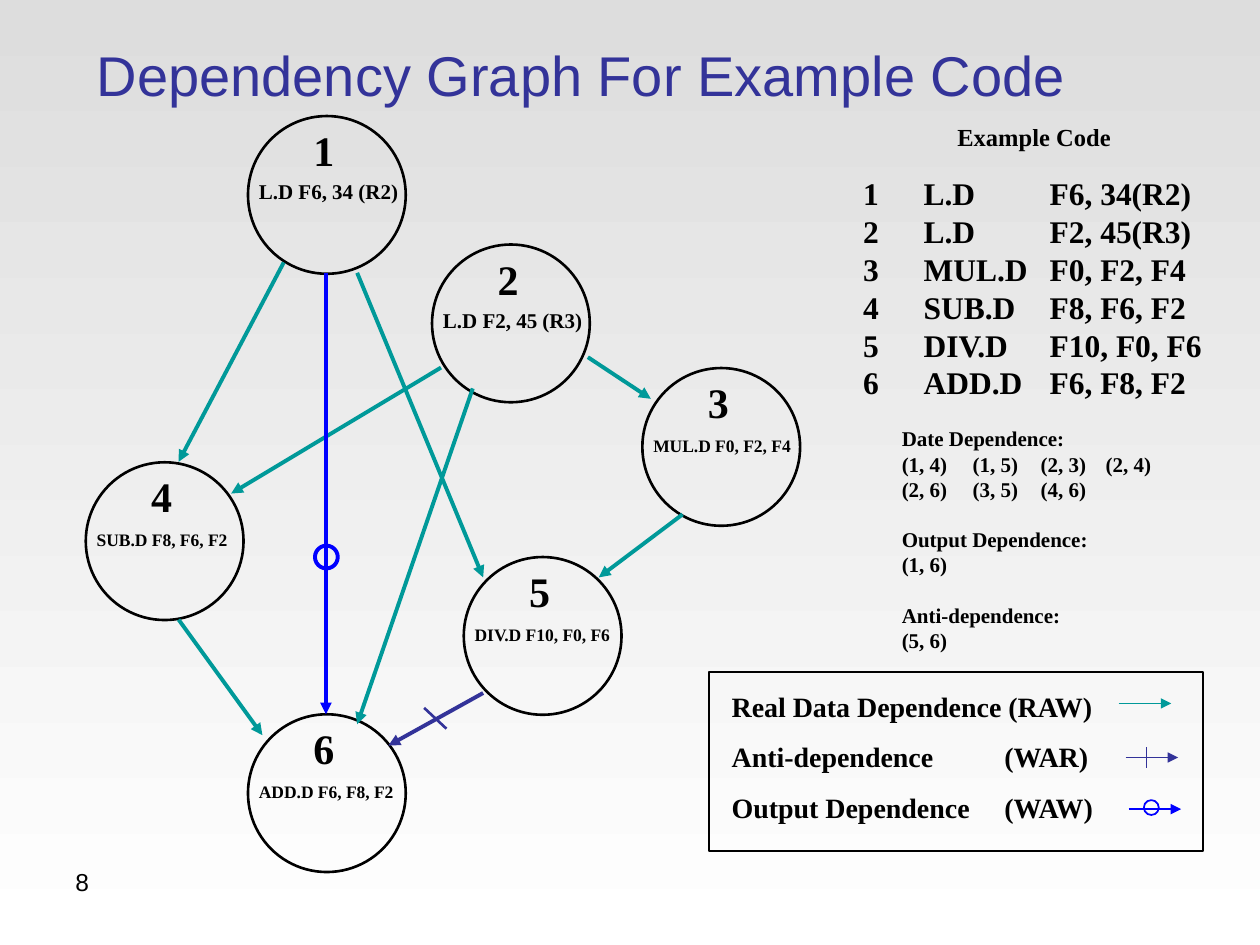
from dataclasses import dataclass
from lxml.etree import SubElement
from pptx import Presentation
from pptx.dml.color import RGBColor
from pptx.enum.shapes import MSO_CONNECTOR, MSO_SHAPE
from pptx.enum.text import MSO_ANCHOR
from pptx.oxml.ns import qn
from pptx.util import Cm, Pt


@dataclass(frozen=True)
class Theme:
    sans: str = "Arial"
    serif: str = "Times New Roman"
    ink: str = "000000"
    title: str = "333399"
    raw: str = "009999"
    war: str = "333399"
    waw: str = "0000FF"
    background: tuple = ("DDDDDD", "FFFFFF")
    title_size: int = 32
    node_size: int = 24
    code_size: int = 18
    legend_size: int = 16
    heading_size: int = 14
    list_size: int = 12
    small_size: int = 10
    edge_width: float = 2.25
    outline_width: float = 1.5
    legend_width: float = 1


THEME = Theme()
DIAMETER = 3.18
LEADING = 1.2

CODE = [
    ("L.D", "F6, 34(R2)"),
    ("L.D", "F2, 45(R3)"),
    ("MUL.D", "F0, F2, F4"),
    ("SUB.D", "F8, F6, F2"),
    ("DIV.D", "F10, F0, F6"),
    ("ADD.D", "F6, F8, F2"),
]
NODES = [
    (5, 2.34, "L.D F6, 34 (R2)", THEME.list_size),
    (8.71, 4.93, "L.D F2, 45 (R3)", THEME.list_size),
    (12.95, 7.42, "MUL.D F0, F2, F4", THEME.small_size),
    (1.73, 9.32, "SUB.D F8, F6, F2", THEME.small_size),
    (9.35, 11.23, "DIV.D F10, F0, F6", THEME.small_size),
    (5, 14.4, "ADD.D F6, F8, F2", THEME.small_size),
]
EDGES = [
    (11.85, 7.2, 13.12, 8.04, THEME.raw),
    (5.72, 5.29, 3.6, 9.31, THEME.raw),
    (8.89, 7.41, 4.66, 9.95, THEME.raw),
    (13.76, 10.37, 12.07, 11.64, THEME.raw),
    (7.2, 5.5, 9.74, 11.64, THEME.raw),
    (3.6, 12.49, 5.29, 14.82, THEME.raw),
    (9.53, 7.83, 7.2, 14.6, THEME.raw),
    (9.74, 13.97, 7.83, 15.03, THEME.war),
    (6.57, 5.5, 6.57, 14.4, THEME.waw),
]
DEPENDENCES = [
    ("Date Dependence:", ["(1, 4)\t(1, 5)\t(2, 3)\t(2, 4)", "(2, 6)\t(3, 5)\t(4, 6)"]),
    ("Output Dependence:", ["(1, 6)"]),
    ("Anti-dependence:", ["(5, 6)"]),
]
LEGEND = ["Real Data Dependence (RAW)", "Anti-dependence\t(WAR)", "Output Dependence\t(WAW)"]
LEGEND_ARROWS = [
    (22.55, 14.18, THEME.raw),
    (22.69, 15.27, THEME.war),
    (22.75, 16.31, THEME.waw),
]


def add_text(slide, box, lines, size, font=THEME.serif, color=THEME.ink,
             bold=True, tabs=(), gaps=(), leading=LEADING):
    shape = slide.shapes.add_textbox(*map(Cm, box))
    frame = shape.text_frame
    frame.word_wrap = True
    for index, line in enumerate(lines):
        paragraph = frame.add_paragraph() if index else frame.paragraphs[0]
        paragraph.text = line
        paragraph.line_spacing = Pt(size * leading) if leading else None
        if index and gaps:
            paragraph.space_before = Pt(gaps[index])
        if tabs:
            tab_list = SubElement(paragraph._p.get_or_add_pPr(), qn("a:tabLst"))
            for position in tabs:
                SubElement(tab_list, qn("a:tab"), pos=str(Cm(position)), algn="l")
        paragraph.font.name = font
        paragraph.font.size = Pt(size)
        paragraph.font.bold = bold
        paragraph.font.color.rgb = RGBColor.from_string(color)
    return shape


def add_outline(slide, kind, box, color, width):
    shape = slide.shapes.add_shape(kind, *map(Cm, box))
    shape.shadow.inherit = False
    shape.fill.background()
    shape.line.color.rgb = RGBColor.from_string(color)
    shape.line.width = Pt(width)


def add_line(slide, ends, color, width, arrow=True):
    connector = slide.shapes.add_connector(MSO_CONNECTOR.STRAIGHT, *map(Cm, ends))
    connector.line.color.rgb = RGBColor.from_string(color)
    connector.line.width = Pt(width)
    if arrow:
        SubElement(connector.line._get_or_add_ln(), qn("a:tailEnd"), type="triangle")
    SubElement(connector._element.spPr, qn("a:effectLst"))


def add_code(slide):
    add_text(slide, (19.05, 2.34, 4.2, 0.86), ["Example Code"], THEME.heading_size)
    numbers = [str(number) for number, _ in enumerate(CODE, 1)]
    add_text(slide, (17.15, 3.39, 1.1, 4.83), numbers, THEME.code_size)
    lines = ["\t".join(instruction) for instruction in CODE]
    add_text(slide, (18.37, 3.39, 6.5, 4.83), lines, THEME.code_size, tabs=[2.54])


def add_dependences(slide):
    lines, gaps = [], []
    for heading, rows in DEPENDENCES:
        lines += [heading, *rows]
        gaps += [THEME.list_size * LEADING] + [0] * len(rows)
    add_text(slide, (17.93, 8.46, 6.3, 4.83), lines, THEME.list_size,
             tabs=[1.43, 2.8, 4.11], gaps=gaps)


def add_graph(slide):
    for number, (left, top, caption, size) in enumerate(NODES, 1):
        add_outline(slide, MSO_SHAPE.OVAL, (left, top, DIAMETER, DIAMETER),
                    THEME.ink, THEME.outline_width)
        caption_top = top + (1.14 if size == THEME.list_size else 1.22)
        add_text(slide, (left - 0.03, caption_top, 3.6, 0.76), [caption], size)
        add_text(slide, (left + 1.07, top + 0.05, 0.95, 1.27), [str(number)], THEME.node_size)
    for *ends, color in EDGES:
        add_line(slide, ends, color, THEME.edge_width)
    add_line(slide, (8.55, 14.27, 9, 14.69), THEME.war, THEME.outline_width, arrow=False)
    add_outline(slide, MSO_SHAPE.OVAL, (6.35, 11, 0.46, 0.46), THEME.waw, THEME.edge_width)


def add_legend(slide):
    add_outline(slide, MSO_SHAPE.RECTANGLE, (14.3, 13.55, 9.95, 3.6),
                THEME.ink, THEME.legend_width)
    add_text(slide, (14.5, 13.77, 8.1, 2.97), LEGEND, THEME.legend_size,
             tabs=[5.5], gaps=[9.6] * len(LEGEND))
    for left, top, color in LEGEND_ARROWS:
        add_line(slide, (left, top, left + 1.06, top), color, THEME.legend_width)
    add_line(slide, (23.11, 15.06, 23.11, 15.49), THEME.war, THEME.legend_width, arrow=False)
    add_outline(slide, MSO_SHAPE.OVAL, (23.06, 16.13, 0.3, 0.3), THEME.waw, THEME.legend_width)


def main():
    presentation = Presentation()
    presentation.slide_width, presentation.slide_height = Cm(25.4), Cm(19.05)
    slide = presentation.slides.add_slide(presentation.slide_layouts[6])
    fill = slide.background.fill
    fill.gradient()
    fill.gradient_angle = 270
    for stop, color in zip(fill.gradient_stops, THEME.background):
        stop.color.rgb = RGBColor.from_string(color)

    title = add_text(slide, (1.7, 0.43, 23.5, 2.11), ["Dependency Graph For Example Code"],
                     THEME.title_size, THEME.sans, THEME.title, bold=False, leading=None)
    title.text_frame.vertical_anchor = MSO_ANCHOR.MIDDLE
    add_text(slide, (1.27, 17.35, 5.92, 1.32), ["8"], THEME.heading_size,
             THEME.sans, bold=False, leading=None)
    add_code(slide)
    add_dependences(slide)
    add_graph(slide)
    add_legend(slide)
    presentation.save("out.pptx")


if __name__ == "__main__":
    main()
